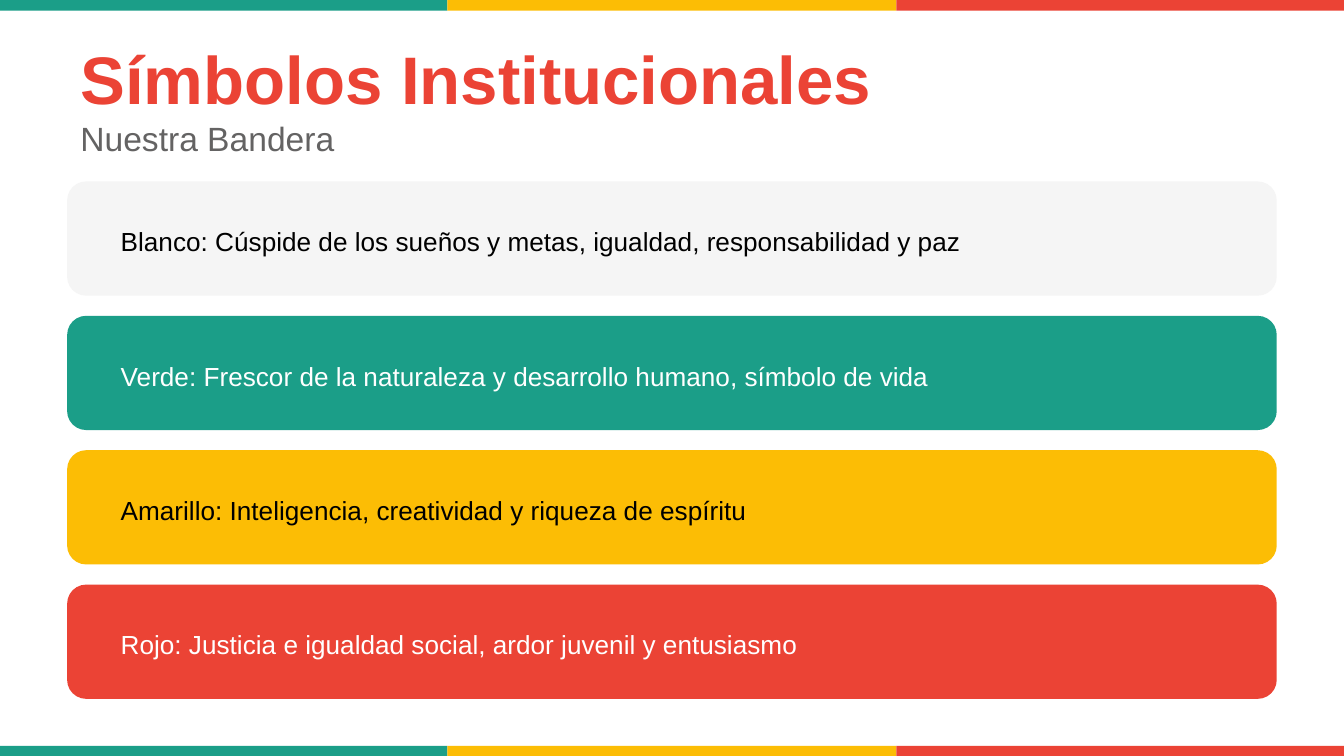
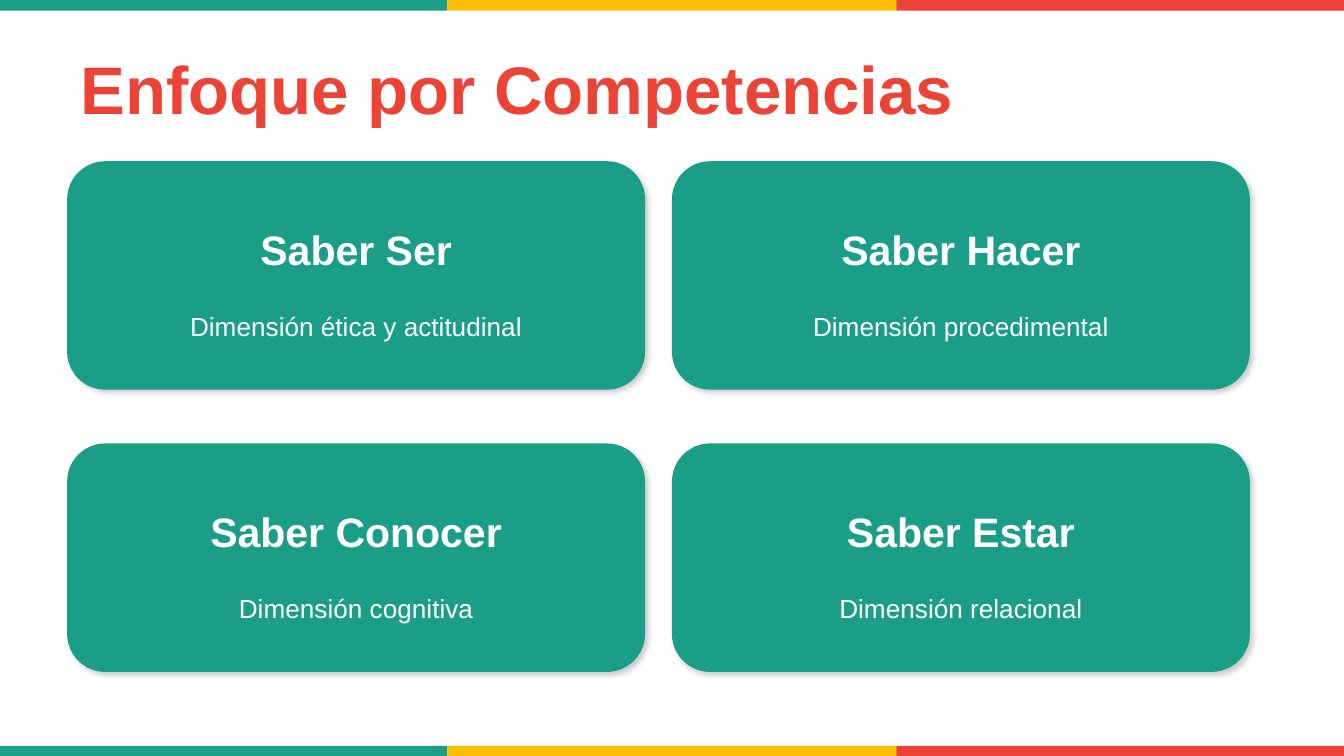
from itertools import product

from lxml.etree import SubElement
from pptx import Presentation
from pptx.dml.color import RGBColor
from pptx.enum.shapes import MSO_SHAPE
from pptx.enum.text import MSO_ANCHOR, PP_ALIGN
from pptx.oxml.ns import qn
from pptx.util import Inches, Pt

GREEN = RGBColor(0x1B, 0x9E, 0x88)
GOLD = RGBColor(0xFC, 0xBD, 0x05)
RED = RGBColor(0xEB, 0x43, 0x35)
PALE = RGBColor(0xF5, 0xF5, 0xF5)
GRAY = RGBColor(0x64, 0x63, 0x63)
BLACK = RGBColor(0, 0, 0)
WHITE = RGBColor(0xFF, 0xFF, 0xFF)

FLAG = [
    (PALE, BLACK, "Blanco: Cúspide de los sueños y metas, igualdad, responsabilidad y paz"),
    (GREEN, WHITE, "Verde: Frescor de la naturaleza y desarrollo humano, símbolo de vida"),
    (GOLD, BLACK, "Amarillo: Inteligencia, creatividad y riqueza de espíritu"),
    (RED, WHITE, "Rojo: Justicia e igualdad social, ardor juvenil y entusiasmo"),
]
SKILLS = [
    ("Saber Ser", "Dimensión ética y actitudinal"),
    ("Saber Hacer", "Dimensión procedimental"),
    ("Saber Conocer", "Dimensión cognitiva"),
    ("Saber Estar", "Dimensión relacional"),
]


class Deck:
    font = "Arial"

    def __init__(self):
        self.prs = Presentation()
        self.prs.slide_width = Inches(10)
        self.prs.slide_height = Inches(5.625)
        self.slide = None

    def page(self, title, high):
        self.slide = self.prs.slides.add_slide(self.prs.slide_layouts[6])
        edges = [0, 3.33, 6.67, 10]
        for top in (0, 5.55):
            for left, right, color in zip(edges, edges[1:], (GREEN, GOLD, RED)):
                self.box(left, top, right - left, 0.08, color, kind=MSO_SHAPE.RECTANGLE)
        self.text(title, 0.5, 0.3, 9, high, size=36, color=RED, bold=True)

    def box(self, left, top, wide, high, color, kind=MSO_SHAPE.ROUNDED_RECTANGLE):
        shape = self.slide.shapes.add_shape(
            kind, Inches(left), Inches(top), Inches(wide), Inches(high))
        shape.shadow.inherit = False
        shape.fill.solid()
        shape.fill.fore_color.rgb = color
        shape.line.fill.background()
        return shape

    def shade(self, shape):
        effects = shape._element.spPr.find(qn("a:effectLst"))
        outer = SubElement(effects, qn("a:outerShdw"), blurRad=str(Pt(3)), dist=str(Pt(2)),
                           dir="2700000", algn="bl", rotWithShape="0")
        color = SubElement(outer, qn("a:srgbClr"), val=str(BLACK))
        SubElement(color, qn("a:alpha"), val="20000")

    def text(self, words, left, top, wide, high, size=14, color=WHITE, bold=False,
             align=PP_ALIGN.LEFT):
        area = self.slide.shapes.add_textbox(
            Inches(left), Inches(top), Inches(wide), Inches(high))
        frame = area.text_frame
        frame.word_wrap = True
        frame.vertical_anchor = MSO_ANCHOR.MIDDLE
        para = frame.paragraphs[0]
        para.alignment = align
        run = para.add_run()
        run.text = words
        run.font.name = self.font
        run.font.size = Pt(size)
        run.font.bold = bold
        run.font.color.rgb = color

    def stripe(self, top, fill, color, words):
        self.box(0.5, top, 9, 0.85, fill)
        self.text(words, 0.8, top + 0.22, 8.5, 0.45, color=color)

    def card(self, left, top, head, body):
        self.shade(self.box(left, top, 4.3, 1.7, GREEN))
        self.text(head, left, top + 0.35, 4.3, 0.6, size=22, bold=True, align=PP_ALIGN.CENTER)
        self.text(body, left, top + 1, 4.3, 0.45, align=PP_ALIGN.CENTER)


def main():
    deck = Deck()

    deck.page("Símbolos Institucionales", 0.55)
    deck.text("Nuestra Bandera", 0.5, 0.85, 9, 0.35, size=18, color=GRAY)
    for row, band in enumerate(FLAG):
        deck.stripe(1.35 + row, *band)

    deck.page("Enfoque por Competencias", 0.7)
    for (top, left), skill in zip(product((1.2, 3.3), (0.5, 5)), SKILLS):
        deck.card(left, top, *skill)

    deck.prs.save("out.pptx")


if __name__ == "__main__":
    main()
